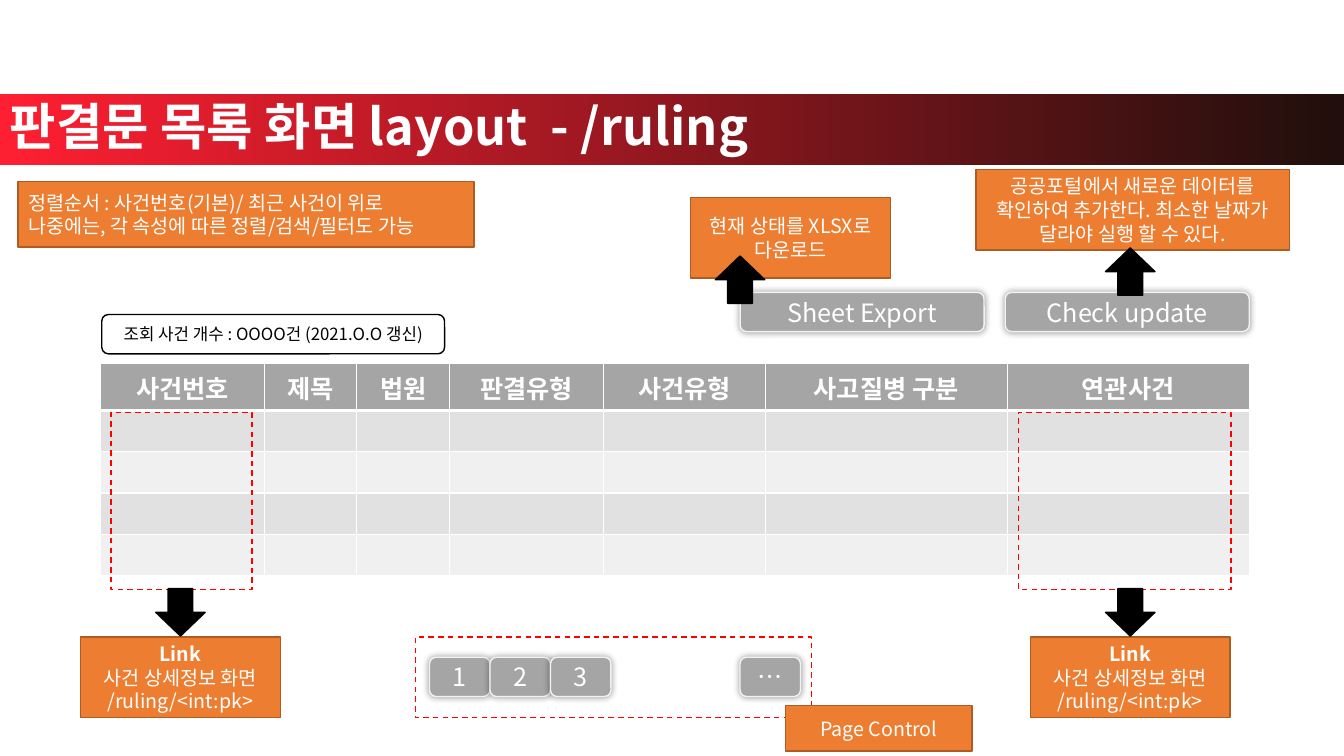
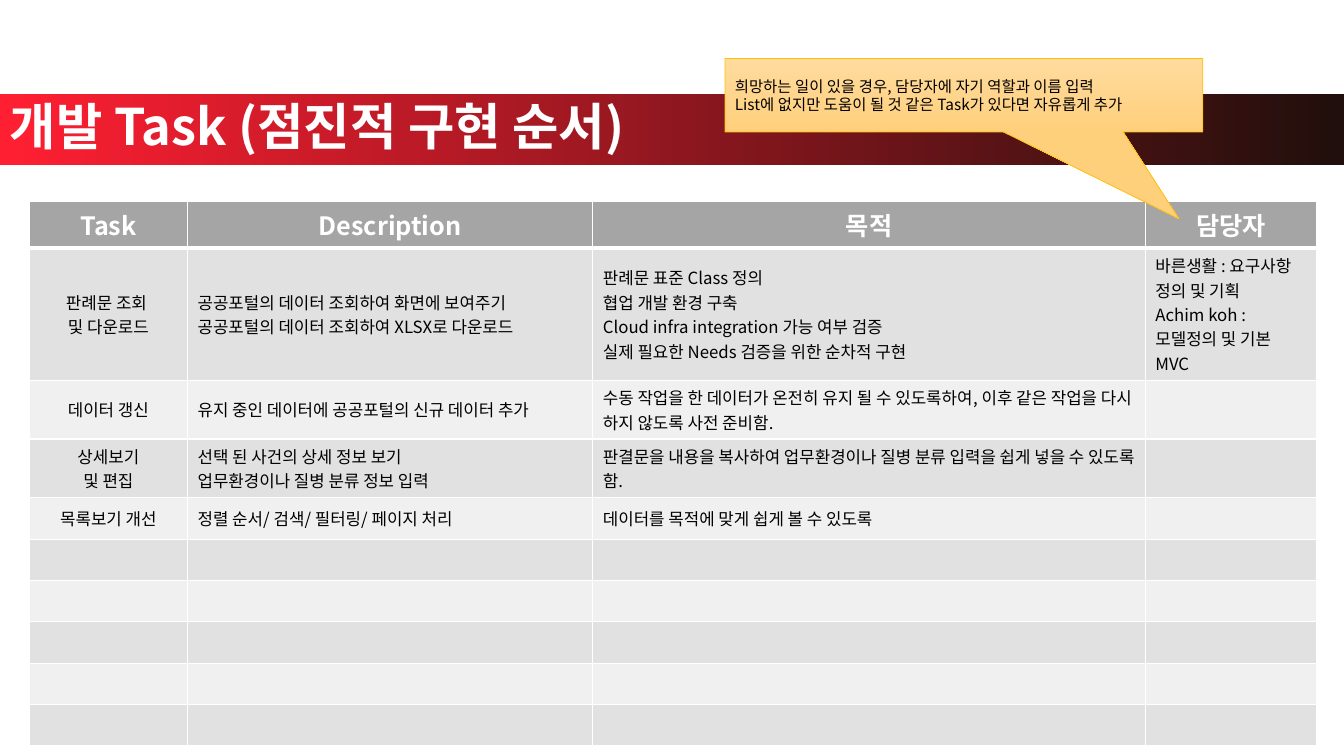
import pptx
import pptx.util
import pptx.dml.color
import pptx.enum.dml
import pptx.enum.shapes
import pptx.enum.text
import pptx.oxml
from pptx.oxml.ns import qn, nsdecls

INK = {
    "white": "FFFFFF", "black": "000000", "red": "FF0000",
    "dark": "200F0C", "rose": "FF1F32", "note": "ED7D31", "rust": "AF5C24",
    "gray": "A5A5A5", "pale": "F2F2F2", "odd": "E1E1E1", "even": "F0F0F0",
    "sand": "FFDB9E", "amber": "FFD07C", "gold": "FFC000",
}
FONT = "Noto Sans CJK KR"
WIDE, HIGH = 13.33, 7.5
ROW = 0.41
KIND = pptx.enum.shapes.MSO_SHAPE
ALIGN = pptx.enum.text.PP_ALIGN
MIDDLE = pptx.enum.text.MSO_ANCHOR.MIDDLE

LIST = {
    "title": "판결문 목록 화면 layout  - /ruling",
    "at": (1, 3.61),
    "cols": [1.62, 0.92, 0.92, 1.53, 1.6, 2.4, 2.4],
    "head": ["사건번호", "제목", "법원", "판결유형", "사건유형", "사고질병 구분", "연관사건"],
    "body": [],
    "rows": 5,
}
TASKS = {
    "title": "개발 Task (점진적 구현 순서)",
    "at": (0.29, 2),
    "cols": [1.57, 4.02, 5.48, 1.7],
    "head": ["Task", "Description", "목적", "담당자"],
    "body": [
        ["판례문 조회 \n및 다운로드",
         "공공포털의 데이터 조회하여 화면에 보여주기\n공공포털의 데이터 조회하여 XLSX로 다운로드",
         "판례문 표준 Class 정의\n협업 개발 환경 구축\n"
         "Cloud infra integration 가능 여부 검증\n실제 필요한 Needs 검증을 위한 순차적 구현",
         "바른생활 : 요구사항 정의 및 기획\nAchim koh : 모델정의 및 기본 MVC"],
        ["데이터 갱신", "유지 중인 데이터에 공공포털의 신규 데이터 추가",
         "수동 작업을 한 데이터가 온전히 유지 될 수 있도록하여, "
         "이후 같은 작업을 다시 하지 않도록 사전 준비함."],
        ["상세보기\n및 편집", "선택 된 사건의 상세 정보 보기\n업무환경이나 질병 분류 정보 입력",
         "판결문을 내용을 복사하여 업무환경이나 질병 분류 입력을 쉽게 넣을 수 있도록 함."],
        ["목록보기 개선", "정렬 순서/ 검색/ 필터링/ 페이지 처리",
         "데이터를 목적에 맞게 쉽게 볼 수 있도록"],
    ],
    "rows": 10,
}
LINK = "Link\n사건 상세정보 화면\n/ruling/<int:pk>"
# center of the link, then left and width of the marked column
LINKS = [(1.79, 1.1, 1.4), (11.21, 10.1, 2.11)]
# label, left, center of arrow, top of arrow, note, place of note
TOOLS = [
    ("Sheet Export", 7.34, 7.34, 2.54, "현재 상태를 XLSX로 다운로드", (6.85, 1.96, 1.98, 0.8)),
    ("Check update", 9.97, 11.21, 2.46,
     "공공포털에서 새로운 데이터를 확인하여 추가한다. 최소한 날짜가 달라야 실행 할 수 있다.",
     (9.68, 1.68, 3.11, 0.8)),
]
COUNT = "조회 사건 개수 : OOOO건 (2021.O.O 갱신)"
PAGES = [("1", 4.26), ("2", 4.86), ("3", 5.46), ("…", 7.34)]
ORDER = "정렬순서 : 사건번호(기본)/ 최근 사건이 위로\n나중에는, 각 속성에 따른 정렬/검색/필터도 가능"
HINT = ("희망하는 일이 있을 경우, 담당자에 자기 역할과 이름 입력\n"
        "List에 없지만 도움이 될 것 같은 Task가 있다면 자유롭게 추가")


def inch(*nums):
    return [pptx.util.Inches(n) for n in nums]


def tint(name):
    return pptx.dml.color.RGBColor.from_string(INK[name])


def write(frame, text, size, ink="white", bold=False, align=ALIGN.CENTER):
    frame.text = text
    for para in frame.paragraphs:
        para.alignment = align
        for run in para.runs:
            font = run.font
            font.size, font.bold, font.name = pptx.util.Pt(size), bold, FONT
            font.color.rgb = tint(ink)
            east = pptx.oxml.parse_xml(f'<a:ea {nsdecls("a")} typeface="{FONT}"/>')
            font._element.find(qn("a:latin")).addnext(east)


def shape(slide, kind, place, fill=None, line=None, thick=1):
    """Add a flat shape; a pair of fill names makes a gradient."""
    item = slide.shapes.add_shape(kind, *inch(*place))
    item.shadow.inherit = False
    if fill is None:
        item.fill.background()
    elif isinstance(fill, tuple):
        item.fill.gradient()
        for stop, name in zip(item.fill.gradient_stops, fill):
            stop.color.rgb = tint(name)
    else:
        item.fill.solid()
        item.fill.fore_color.rgb = tint(fill)
    if line:
        item.line.color.rgb = tint(line)
        item.line.width = pptx.util.Pt(thick)
    else:
        item.line.fill.background()
    return item


def note(slide, text, place, align=ALIGN.CENTER):
    box = shape(slide, KIND.RECTANGLE, place, "note", "rust")
    write(box.text_frame, text, 14, align=align)
    return box


def button(slide, text, left, top, width):
    box = shape(slide, KIND.ROUNDED_RECTANGLE, (left, top, width, 0.39), "gray", "pale")
    write(box.text_frame, text, 18)
    glow = pptx.oxml.parse_xml(
        f'<a:outerShdw {nsdecls("a")} blurRad="63500" dist="0" algn="ctr">'
        '<a:srgbClr val="000000"><a:alpha val="40000"/></a:srgbClr></a:outerShdw>')
    box._element.spPr.find(qn("a:effectLst")).append(glow)


def arrow(slide, kind, mid, top):
    shape(slide, kind, (mid - 0.49 / 2, top, 0.49, 0.47), "black", "black")


def mark(slide, *place):
    box = shape(slide, KIND.RECTANGLE, place, None, "red")
    box.line.dash_style = pptx.enum.dml.MSO_LINE.DASH


def edge(cell, low):
    """Draw white cell borders, the lower one as thick as given."""
    props = cell._tc.get_or_add_tcPr()
    for spot, (side, thick) in enumerate(zip("LRTB", (1, 1, 1, low))):
        props.insert(spot, pptx.oxml.parse_xml(
            f'<a:ln{side} {nsdecls("a")} w="{thick * 12700}"><a:solidFill>'
            f'<a:srgbClr val="{INK["white"]}"/></a:solidFill></a:ln{side}>'))


def grid(slide, data):
    cols, rows = data["cols"], data["rows"]
    size = inch(*data["at"], sum(cols), ROW * rows)
    table = slide.shapes.add_table(rows, len(cols), *size).table
    for col, width in zip(table.columns, inch(*cols)):
        col.width = width
    lines = [data["head"]] + data["body"]
    for r in range(rows):
        texts = lines[r] if r < len(lines) else []
        for c in range(len(cols)):
            cell = table.cell(r, c)
            cell.fill.solid()
            cell.fill.fore_color.rgb = tint("odd" if r % 2 else "even")
            if r == 0:
                cell.fill.fore_color.rgb = tint("gray")
                write(cell.text_frame, texts[c], 18, bold=True)
            elif c < len(texts):
                cell.vertical_anchor = MIDDLE
                side = ALIGN.LEFT if c else ALIGN.CENTER
                write(cell.text_frame, texts[c], 12, "black", align=side)
            edge(cell, 1 if r else 3)


def start(deck, data):
    """Add a slide with its title band and table."""
    slide = deck.slides.add_slide(deck.slide_layouts[6])
    band = shape(slide, KIND.RECTANGLE, (0, 0.93, WIDE, 0.71), ("dark", "rose"))
    band.fill.gradient_angle = 180
    write(band.text_frame, data["title"], 36, bold=True, align=ALIGN.LEFT)
    band.text_frame.paragraphs[0].line_spacing = 0.9
    grid(slide, data)
    return slide


def screen(deck):
    slide = start(deck, LIST)
    for mid, left, width in LINKS:
        box = note(slide, LINK, (mid - 0.99, 6.32, 1.98, 0.8))
        box.text_frame.paragraphs[0].runs[0].font.bold = True
        mark(slide, left, 4.09, width, 1.76)
        arrow(slide, KIND.DOWN_ARROW, mid, 5.84)
    for label, left, mid, top, text, place in TOOLS:
        button(slide, label, left, 2.9, 2.42)
        note(slide, text, place)
        arrow(slide, KIND.UP_ARROW, mid, top)
    count = shape(slide, KIND.ROUNDED_RECTANGLE, (1.01, 3.12, 3.4, 0.39), "white", "black")
    write(count.text_frame, COUNT, 12, "black")
    for label, left in PAGES:
        button(slide, label, left, 6.52, 0.6)
    mark(slide, 4.12, 6.32, 3.93, 0.8)
    note(slide, "Page Control", (7.79, 7, 1.85, 0.45))
    note(slide, ORDER, (0.18, 1.8, 4.52, 0.65), ALIGN.LEFT)


def plan(deck):
    slide = start(deck, TASKS)
    hint = shape(slide, KIND.RECTANGULAR_CALLOUT, (7.19, 0.58, 4.74, 0.73),
                 ("sand", "amber"), "gold", 0.5)
    hint.fill.gradient_angle = 270
    hint.adjustments[0], hint.adjustments[1] = 0.45, 1.68
    write(hint.text_frame, HINT, 11, "black", align=ALIGN.LEFT)


def main():
    deck = pptx.Presentation()
    deck.slide_width, deck.slide_height = inch(WIDE, HIGH)
    screen(deck)
    plan(deck)
    deck.save("out.pptx")


if __name__ == "__main__":
    main()
